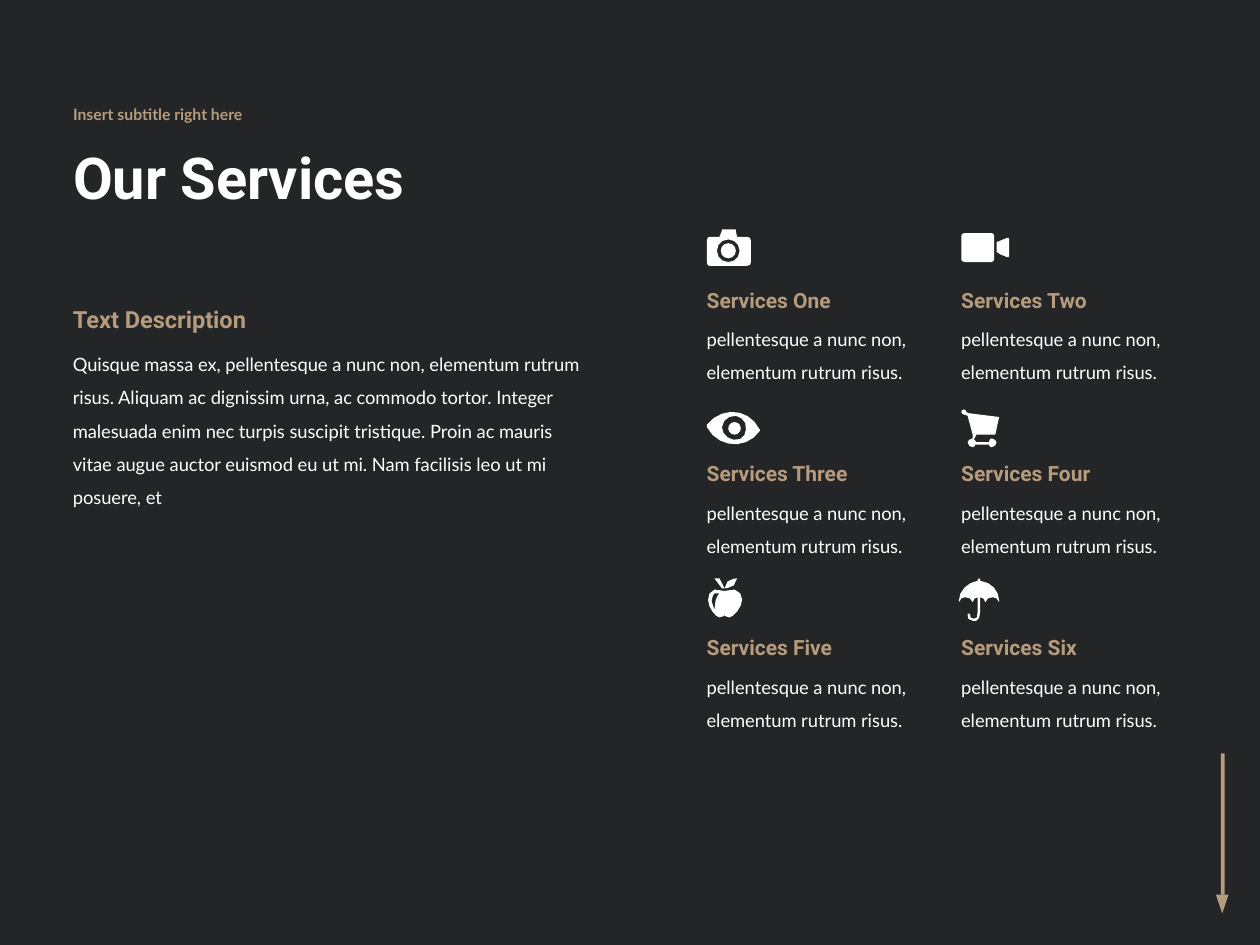
from dataclasses import dataclass
from math import dist

from pptx import Presentation
from pptx import util as u
from pptx.dml.color import RGBColor
from pptx.enum import shapes, text


@dataclass(frozen=True)
class Theme:
    back: str = "242527"
    gold: str = "B69B7D"
    white: str = "FFFFFF"
    head: str = "Roboto"
    body: str = "Lato"
    title: float = 33
    sub: float = 9
    lead: float = 13.5
    name: float = 12
    copy: float = 10.5


THEME = Theme()
KIND = shapes.MSO_SHAPE
LEFT = 0.48
COLS = (5.51, 7.53)
TOP, STEP = 2.47, 1.38
INSET, LIFT, RISE = 0.1, 0.65, 0.24
FINE = 100

LEAD = (
    "Quisque massa ex, pellentesque a nunc non, elementum rutrum risus. "
    "Aliquam ac dignissim urna, ac commodo tortor. Integer malesuada enim nec "
    "turpis suscipit tristique. Proin ac mauris vitae augue auctor euismod eu "
    "ut mi. Nam facilisis leo ut mi posuere, et"
)
NOTE = "pellentesque a nunc non, elementum rutrum risus."

# Icon outlines are in hundredths of an inch; "O" is a disc: left, top, size.
CAMERA = (
    "M 32 6 L 24 6 L 23 1 C 23 0 23 0 22 0 L 13 0 C 12 0 12 0 12 1 L 10 6 "
    "L 2 6 C 1 6 0 7 0 9 L 0 26 C 0 28 1 29 2 29 L 32 29 C 34 29 35 28 35 26 "
    "L 35 9 C 35 7 34 6 32 6 M 17 26 C 12 26 8 22 8 17 C 8 12 12 8 17 8 "
    "C 22 8 26 12 26 17 C 26 22 22 26 17 26",
    "O 11 11 12",
)
VIDEO = (
    "M 24 3 L 3 3 C 1 3 0 4 0 5 L 0 24 C 0 25 1 26 3 26 L 24 26 "
    "C 25 26 26 25 26 24 L 26 5 C 26 4 25 3 24 3",
    "M 36 7 L 31 9 C 31 9 30 10 28 10 L 28 18 C 30 19 31 20 31 20 L 36 22 "
    "C 37 23 38 22 38 21 L 38 8 C 38 7 37 6 36 7",
)
EYE = (
    "M 0 17 L 0 19 C 9 36 32 37 42 22 L 42 21 C 34 4 12 2 0 17 "
    "M 21 29 C 16 28 12 24 12 19 C 13 13 17 10 23 10 C 28 11 32 15 31 21 "
    "C 31 26 27 30 21 29",
    "O 17 15 10",
)
CART = (
    "M 24 28 C 23 28 22 29 22 31 L 12 31 C 11 30 11 29 10 29 L 12 25 L 27 25 "
    "L 30 11 L 6 8 L 4 7 C 4 6 3 5 2 5 C 1 5 0 6 0 7 C 0 8 1 9 2 9 L 5 10 "
    "L 9 25 L 9 28 C 7 28 5 30 5 31 C 5 33 7 35 9 35 C 10 35 11 34 11 33 "
    "L 22 33 C 22 34 23 35 24 35 C 26 35 28 33 28 31 C 28 30 26 28 24 28",
)
APPLE = (
    "M 14 11 C 4 7 1 13 1 18 C 1 24 7 32 10 32 C 14 32 14 30 14 30 "
    "C 14 30 14 32 18 32 C 21 32 28 24 28 18 C 28 13 24 7 14 11 "
    "M 6 26 C 1 18 6 13 6 13 L 10 13 C 10 13 6 16 6 26",
    "M 14 9 C 12 5 10 1 10 1 L 6 1 L 12 9 L 14 9",
    "M 24 1 C 24 1 14 1 14 9 C 14 9 24 9 24 1",
)
BROLLY = (
    "M 15 3 L 15 2 C 15 2 15 1 14 1 C 14 1 13 2 13 2 L 13 3 "
    "C 5 4 -2 11 -2 19 L -2 20 C -1 17 1 16 3 16 C 6 16 8 17 9 20 "
    "C 9 18 11 16 13 16 L 13 27 C 13 33 12 33 10 33 C 7 33 7 32 7 30 "
    "C 7 29 6 29 6 29 C 5 29 5 29 5 30 C 5 32 5 35 10 35 "
    "C 12 35 15 34 15 27 L 15 16 C 17 16 19 18 19 20 C 20 17 22 16 25 16 "
    "C 27 16 29 17 30 20 L 30 19 C 30 11 24 4 15 3",
)
ITEMS = (
    ("Services One", CAMERA), ("Services Two", VIDEO),
    ("Services Three", EYE), ("Services Four", CART),
    ("Services Five", APPLE), ("Services Six", BROLLY),
)


def style(frame, words, font, size, color, bold=False, space=None):
    frame.word_wrap = True
    frame.text = words
    para = frame.paragraphs[0]
    para.alignment = text.PP_ALIGN.LEFT
    para.line_spacing = space
    face = para.runs[0].font
    face.name, face.size, face.bold = font, u.Pt(size), bold
    face.color.rgb = RGBColor.from_string(color)


def fill_holder(shape, box, words, font, size, color, before=0):
    shape.left, shape.top, shape.width, shape.height = map(u.Inches, box)
    frame = shape.text_frame
    style(frame, words, font, size, color, True, 0.9)
    frame.paragraphs[0].space_before = u.Pt(before)
    frame.auto_size = text.MSO_AUTO_SIZE.NONE
    frame.vertical_anchor = text.MSO_ANCHOR.MIDDLE


def add_text(slide, box, *args, **look):
    frame = slide.shapes.add_textbox(*map(u.Inches, box)).text_frame
    style(frame, *args, **look)
    frame.auto_size = text.MSO_AUTO_SIZE.SHAPE_TO_FIT_TEXT


def add_head(slide, box, words, size):
    add_text(slide, box, words, THEME.head, size, THEME.gold, bold=True)


def add_copy(slide, box, words):
    add_text(slide, box, words, THEME.body, THEME.copy, THEME.white, space=1.5)


def bend(ends):
    """Points along a cubic curve, without its first one; long curves get more."""
    count = 2 + int(dist(ends[0], ends[-1]) / (8 * FINE))
    for step in range(1, count + 1):
        t = step / count
        parts = ((1 - t) ** 3, 3 * t * (1 - t) ** 2, 3 * t * t * (1 - t), t ** 3)
        yield tuple(sum(p * e[axis] for p, e in zip(parts, ends)) for axis in (0, 1))


def trace(path):
    """Turn an outline into one list of points for each contour."""
    loops = []
    for part in path.replace("M", "|M").replace("L", "|L").replace("C", "|C").split("|")[1:]:
        kind, *nums = part.split()
        nums = [float(n) * FINE for n in nums]
        spots = list(zip(nums[::2], nums[1::2]))
        if kind == "M":
            loops.append(spots)
        elif kind == "L":
            loops[-1] += spots
        else:
            loops[-1] += bend([loops[-1][-1], *spots])
    return loops


def paint(shape, color):
    shape.shadow.inherit = False
    shape.fill.solid()
    shape.fill.fore_color.rgb = RGBColor.from_string(color)
    shape.line.fill.background()
    return shape


def add_solid(tree, kind, box, color):
    return paint(tree.add_shape(kind, *map(u.Inches, box)), color)


def add_piece(tree, path, left, top):
    if path.startswith("O"):
        x, y, size = (int(n) / 100 for n in path.split()[1:])
        add_solid(tree, KIND.OVAL, (left + x, top + y, size, size), THEME.white)
        return
    first, *rest = trace(path)
    pen = tree.build_freeform(*first[0], scale=u.Inches(1) / (100 * FINE))
    pen.add_line_segments(first[1:], close=True)
    for loop in rest:
        pen.move_to(*loop[0])
        pen.add_line_segments(loop[1:], close=True)
    paint(pen.convert_to_shape(u.Inches(left), u.Inches(top)), THEME.white)


def add_item(slide, index, name, icon):
    row, col = divmod(index, len(COLS))
    left, top = COLS[col], TOP + row * STEP
    tree = slide.shapes
    if len(icon) > 1:
        tree = tree.add_group_shape().shapes
    for path in icon:
        add_piece(tree, path, left + INSET, top - LIFT)
    add_copy(slide, (left, top, 1.93, 0.6), NOTE)
    add_head(slide, (left, top - RISE, 1.62, 0.3), name, THEME.name)


def add_arrow(slide):
    tree = slide.shapes.add_group_shape().shapes
    add_solid(tree, KIND.RECTANGLE, (9.69, 5.98, 0.03, 1.12), THEME.gold)
    tip = add_solid(tree, KIND.ISOSCELES_TRIANGLE, (9.65, 7.1, 0.1, 0.15), THEME.gold)
    tip.rotation = 180


def main():
    deck = Presentation()
    deck.slide_width, deck.slide_height = u.Inches(10), u.Inches(7.5)
    slide = deck.slides.add_slide(deck.slide_layouts[0])
    slide.background.fill.solid()
    slide.background.fill.fore_color.rgb = RGBColor.from_string(THEME.back)

    fill_holder(slide.shapes.title, (LEFT, 0.92, 5.63, 1.03),
                "Our Services", THEME.head, THEME.title, THEME.white)
    fill_holder(slide.placeholders[1], (LEFT, 0.73, 5.63, 0.38),
                "Insert subtitle right here", THEME.body, THEME.sub, THEME.gold, 10)
    add_arrow(slide)
    add_copy(slide, (LEFT, 2.67, 4.24, 1.13), LEAD)
    add_head(slide, (LEFT, 2.37, 2.19, 0.33), "Text Description", THEME.lead)
    for index, (name, icon) in enumerate(ITEMS):
        add_item(slide, index, name, icon)
    deck.save("out.pptx")


if __name__ == "__main__":
    main()
